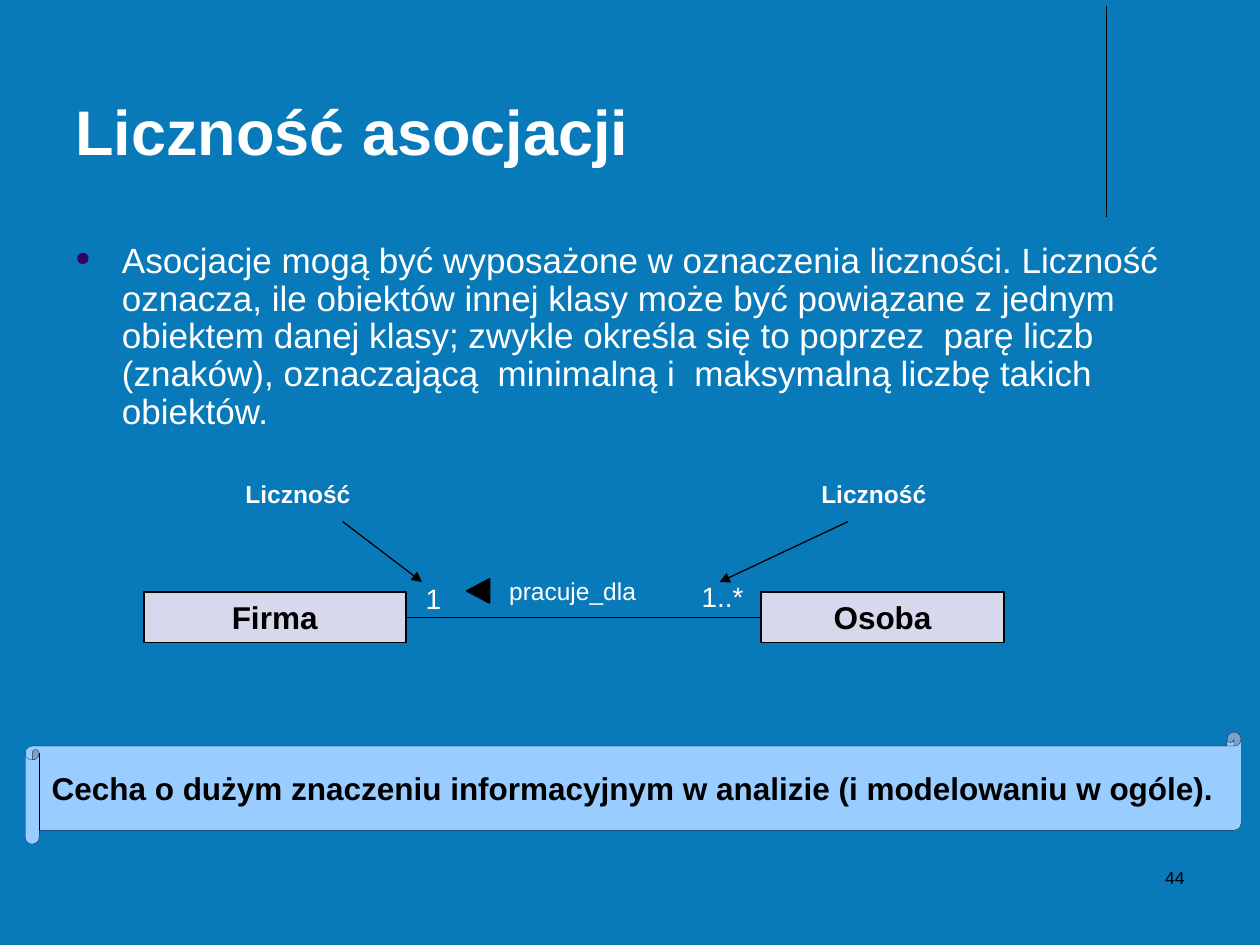
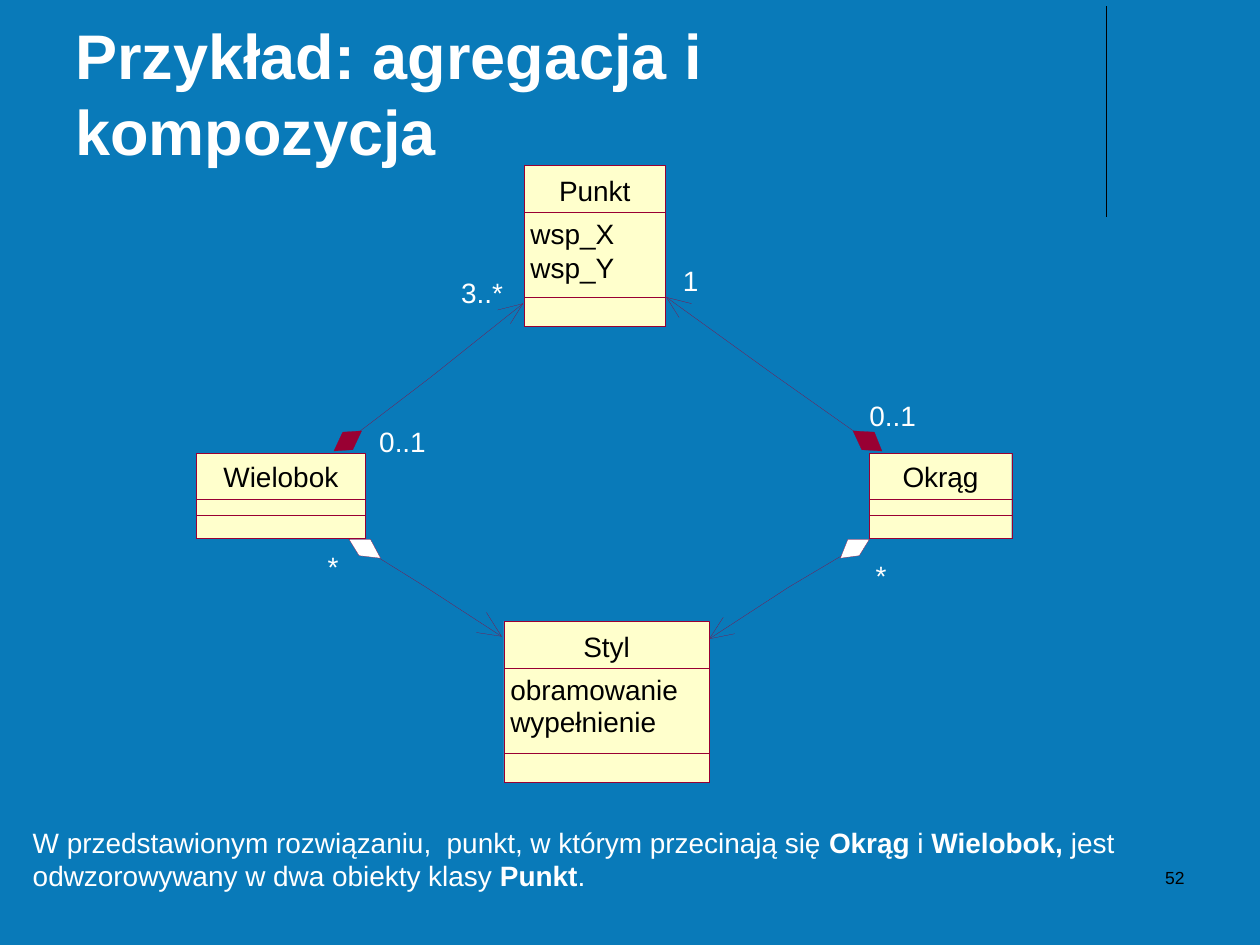
import pptx
import pptx.util
import pptx.dml.color
import pptx.enum.shapes
import pptx.enum.text
import pptx.oxml.ns
from lxml import etree

RGBColor = pptx.dml.color.RGBColor
Pt = pptx.util.Pt
SHAPE = pptx.enum.shapes.MSO_SHAPE
ALIGN = pptx.enum.text.PP_ALIGN
ANCHOR = pptx.enum.text.MSO_ANCHOR
AUTO_SIZE = pptx.enum.text.MSO_AUTO_SIZE
qn = pptx.oxml.ns.qn

BLUE = RGBColor(0x09, 0x7A, 0xB9)
WHITE = RGBColor(0xFF, 0xFF, 0xFF)
BLACK = RGBColor(0, 0, 0)
LILAC = RGBColor(0xD8, 0xD8, 0xEC)
SKY = RGBColor(0x99, 0xCC, 0xFF)
CREAM = RGBColor(0xFF, 0xFF, 0xCC)
MAROON = RGBColor(0x99, 0x00, 0x33)
BULLET = RGBColor(0x33, 0x00, 0x66)

PX = 9144  # 100 px to the inch
FONT = "Arial"
HAIRLINE = 0.1
INSETS = (10, 5)
NO_INSETS = (0, 0)

# Slide 1
MULTIPLICITY_TITLE = "Liczność asocjacji"
MULTIPLICITY_TEXT = (
    "Asocjacje mogą być wyposażone w oznaczenia liczności. Liczność oznacza, "
    "ile obiektów innej klasy może być powiązane z jednym obiektem danej klasy; "
    "zwykle określa się to poprzez  parę liczb (znaków), oznaczającą  minimalną "
    "i  maksymalną liczbę takich obiektów."
)
ENTITIES = [("Firma", (114, 470, 208, 40)), ("Osoba", (604, 470, 193, 40))]
ASSOCIATION_LABELS = [
    ("pracuje_dla", (394, 452, 121, 34), 14),
    ("1..*", (547, 455, 53, 37), 16),
    ("1", (328, 457, 32, 37), 16),
]
CALLOUT = "Liczność"
CALLOUTS = [  # label area, arrow start, arrow tip
    ((185, 375, 110, 34), (272, 414), (335, 462)),
    ((642, 375, 110, 34), (673, 414), (571, 462)),
]
SCROLL_TEXT = "Cecha o dużym znaczeniu informacyjnym w analizie (i modelowaniu w ogóle)."

# Slide 2
COMPOSITION_TITLE = "Przykład: agregacja i  kompozycja"
TALL = {"height": 128, "name_top": 7, "splits": (37, 105)}
SHORT = {"height": 67, "name_top": 5, "splits": (36, 49)}
CLASSES = [  # name, left, top, width, layout, attributes, attribute pitch
    ("Punkt", 416, 131, 112, TALL, ["wsp_X", "wsp_Y"], 27),
    ("Wielobok", 156, 360, 134, SHORT, [], 0),
    ("Okrąg", 690, 360, 113, SHORT, [], 0),
    ("Styl", 400, 493, 163, TALL, ["obramowanie", "wypełnienie"], 25),
]
RELATIONS = [  # arrow tip, barb ends, middle, diamond from its root, diamond fill
    ((415, 241), [(405, 257), (395, 246)], (341, 300),
     [(265, 358), (280, 357), (287, 342), (272, 343)], MAROON),
    ((529, 236), [(549, 241), (539, 252)], (615, 298),
     [(700, 358), (694, 343), (677, 342), (684, 357)], MAROON),
    ((398, 505), [(386, 486), (378, 502)], (338, 466),
     [(277, 428), (294, 428), (302, 443), (285, 441)], WHITE),
    ((563, 507), [(583, 503), (574, 490)], (626, 466),
     [(690, 428), (682, 441), (667, 443), (673, 428)], WHITE),
]
MULTIPLICITY_SIZE = (45, 27)
MULTIPLICITIES = [  # text, left, top
    ("0..1", 301, 337),
    ("3..*", 366, 219),
    ("0..1", 690, 316),
    ("1", 542, 209),
    ("*", 260, 436),
    ("*", 695, 443),
]
SUMMARY = [  # text, bold
    ("W przedstawionym rozwiązaniu,  punkt, w którym przecinają się ", False),
    ("Okrąg", True), (" i ", False), ("Wielobok,", True),
    (" jest odwzorowywany w dwa obiekty klasy ", False),
    ("Punkt", True), (".", False),
]


def emu(lengths):
    return [length * PX for length in lengths]


def write(box, text, size, color=WHITE, bold=None, align=ALIGN.LEFT,
          anchor=ANCHOR.TOP, insets=INSETS, wrap=True):
    """Fill a shape with one paragraph; text is a string or (text, bold) spans."""
    frame = box.text_frame
    frame.word_wrap = wrap
    frame.auto_size = AUTO_SIZE.NONE if wrap else AUTO_SIZE.SHAPE_TO_FIT_TEXT
    frame.vertical_anchor = anchor
    frame.margin_left = frame.margin_right = insets[0] * PX
    frame.margin_top = frame.margin_bottom = insets[1] * PX
    para = frame.paragraphs[0]
    para.alignment = align
    para.font.name = FONT
    para.font.size = Pt(size)
    para.font.color.rgb = color
    para.font.bold = bold
    for words, heavy in [(text, None)] if isinstance(text, str) else text:
        span = para.add_run()
        span.text = words
        span.font.bold = heavy
    return para


def add_text(page, area, text, size, **style):
    return write(page.shapes.add_textbox(*emu(area)), text, size, **style)


def paint(shape, fill, line, width):
    shape.shadow.inherit = False
    if fill is None:
        shape.fill.background()
    else:
        shape.fill.solid()
        shape.fill.fore_color.rgb = fill
    shape.line.color.rgb = line
    shape.line.width = Pt(width)
    return shape


def add_box(page, kind, area, fill, line=BLACK, width=HAIRLINE):
    return paint(page.shapes.add_shape(kind, *emu(area)), fill, line, width)


def add_line(page, start, end, color=BLACK, width=HAIRLINE, arrow=False):
    line = page.shapes.add_connector(
        pptx.enum.shapes.MSO_CONNECTOR.STRAIGHT, *emu(start + end))
    line.line.color.rgb = color
    line.line.width = Pt(width)
    properties = line._element.spPr
    if arrow:
        etree.SubElement(properties.find(qn("a:ln")), qn("a:tailEnd"), type="triangle")
    etree.SubElement(properties, qn("a:effectLst"))
    return line


def add_bullet(para, indent):
    properties = para._p.get_or_add_pPr()
    properties.set("marL", str(indent * PX))
    properties.set("indent", str(-indent * PX))
    bullet = [etree.Element(qn("a:buClr")),
              etree.Element(qn("a:buSzPct"), val="55000"),
              etree.Element(qn("a:buChar"), char="●")]
    etree.SubElement(bullet[0], qn("a:srgbClr"), val=str(BULLET))
    defaults = properties.find(qn("a:defRPr"))
    for part in bullet:
        defaults.addprevious(part)


def add_page(deck, title, number):
    page = deck.slides.add_slide(deck.slide_layouts[6])
    page.background.fill.solid()
    page.background.fill.fore_color.rgb = BLUE
    add_line(page, (878, 5), (878, 172), width=0.75)
    add_text(page, (50, 13, 825, 125), title, 36, bold=True, anchor=ANCHOR.BOTTOM)
    add_text(page, (717, 683, 233, 50), str(number), 10, color=BLACK, align=ALIGN.RIGHT)
    return page


def build_multiplicity(deck):
    page = add_page(deck, MULTIPLICITY_TITLE, 44)
    para = add_text(page, (50, 188, 900, 195), MULTIPLICITY_TEXT, 20)
    add_bullet(para, 37)
    para.line_spacing = 0.9

    boxes = []
    for name, area in ENTITIES:
        box = add_box(page, SHAPE.RECTANGLE, area, LILAC, width=1)
        write(box, name, 18, color=BLACK, bold=True, align=ALIGN.CENTER)
        boxes.append(box)
    association = add_line(page, (322, 490), (604, 490), width=1)
    association.begin_connect(boxes[0], 3)
    association.end_connect(boxes[1], 1)
    for text, area, size in ASSOCIATION_LABELS:
        add_text(page, area, text, size, align=ALIGN.CENTER, wrap=False)
    direction = add_box(page, SHAPE.FLOWCHART_EXTRACT, (370, 460, 19, 18), BLACK, width=1)
    direction.rotation = 270

    for area, start, tip in CALLOUTS:
        add_text(page, area, CALLOUT, 14, bold=True)
        add_line(page, start, tip, width=0.75, arrow=True)
    scroll = add_box(page, SHAPE.HORIZONTAL_SCROLL, (20, 581, 965, 89), SKY)
    write(scroll, SCROLL_TEXT, 18, color=BLACK, bold=True, anchor=ANCHOR.MIDDLE)


def add_class(page, name, left, top, width, layout, attributes, pitch):
    height = layout["height"]
    add_box(page, SHAPE.RECTANGLE, (left, top, width, height), CREAM, MAROON)
    for split in layout["splits"]:
        add_box(page, SHAPE.RECTANGLE, (left, top + split, width, height - split),
                None, MAROON)
    add_text(page, (left, top + layout["name_top"], width, 27), name, 16,
             color=BLACK, align=ALIGN.CENTER, insets=NO_INSETS)
    for row, attribute in enumerate(attributes):
        add_text(page, (left + 5, top + 41 + row * pitch, width - 10, 27), attribute, 16,
                 color=BLACK, insets=NO_INSETS)


def add_relation(page, tip, barbs, middle, diamond, fill):
    strokes = [(middle, tip), (middle, diamond[0])] + [(tip, barb) for barb in barbs]
    for start, end in strokes:
        add_line(page, start, end, MAROON)
    outline = page.shapes.build_freeform(*diamond[0], scale=PX)
    outline.add_line_segments(diamond[1:], close=True)
    paint(outline.convert_to_shape(), fill, MAROON, HAIRLINE)


def build_composition(deck):
    page = add_page(deck, COMPOSITION_TITLE, 52)
    for item in CLASSES:
        add_class(page, *item)
    for relation in RELATIONS:
        add_relation(page, *relation)
    for text, left, top in MULTIPLICITIES:
        add_text(page, (left, top, *MULTIPLICITY_SIZE), text, 16, insets=NO_INSETS)
    add_text(page, (15, 650, 949, 62), SUMMARY, 16, insets=(11, 5))


def main():
    deck = pptx.Presentation()
    deck.slide_width, deck.slide_height = emu((1000, 750))
    build_multiplicity(deck)
    build_composition(deck)
    deck.save("out.pptx")


if __name__ == "__main__":
    main()
